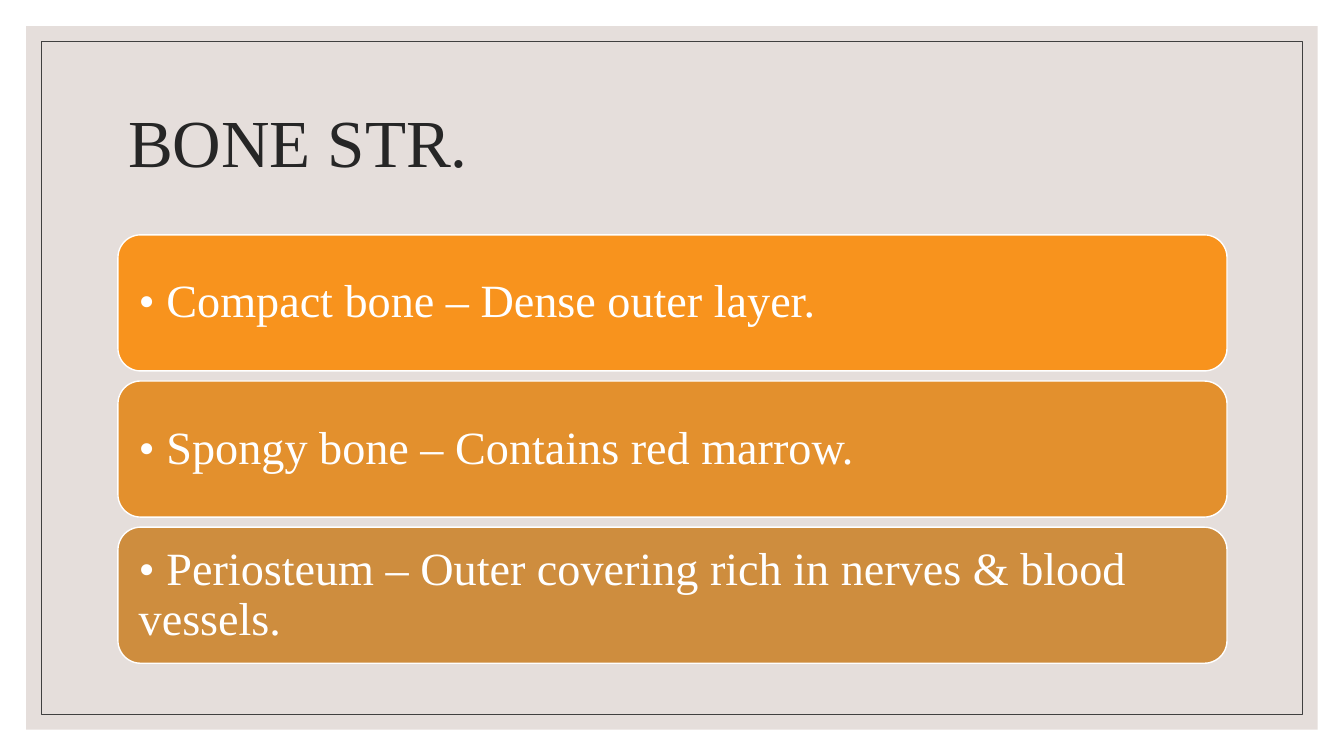
from dataclasses import dataclass
from pptx import Presentation
from pptx.dml.color import RGBColor as RGB
from pptx.enum.shapes import MSO_SHAPE as SHAPE
from pptx.enum.text import MSO_ANCHOR as ANCHOR, PP_ALIGN as ALIGN
from pptx.util import Inches, Pt


@dataclass(frozen=True)
class Theme:
    font: str = "Times New Roman"
    panel: str = "E5DEDB"
    frame: str = "404040"
    title: str = "262626"
    light: str = "FFFFFF"
    bars: tuple = ("F8931D", "E3902D", "CE8D3E")
    title_size: float = 48
    bar_size: float = 33


T = Theme()
W, H = 13.33, 7.5
LEFT, WIDTH = 1.17, 11
FACTS = (
    "• Compact bone – Dense outer layer.",
    "• Spongy bone – Contains red marrow.",
    "• Periosteum – Outer covering rich in nerves & blood vessels.",
)


def set_all(obj, values):
    for name, value in values.items():
        setattr(obj, name, value)


def add_box(s, kind, box, fill=None, line=None, weight=1):
    sp = s.shapes.add_shape(kind, *map(Inches, box))
    sp.shadow.inherit = False
    if fill:
        sp.fill.solid()
        sp.fill.fore_color.rgb = RGB.from_string(fill)
    else:
        sp.fill.background()
    if line:
        sp.line.color.rgb = RGB.from_string(line)
        sp.line.width = Pt(weight)
    else:
        sp.line.fill.background()
    return sp


def write(sp, text, size, color, inset, after=0):
    tf = sp.text_frame
    tf.text = text
    set_all(tf, {"word_wrap": True, "vertical_anchor": ANCHOR.MIDDLE})
    set_all(tf, {f"margin_{side}": Inches(inset)
                 for side in ("left", "right", "top", "bottom")})
    p = tf.paragraphs[0]
    set_all(p, {"alignment": ALIGN.LEFT, "line_spacing": 0.9,
                "space_before": Pt(0), "space_after": Pt(after)})
    r = p.runs[0]
    set_all(r.font, {"name": T.font, "size": Pt(size)})
    r.font.color.rgb = RGB.from_string(color)


def add_backdrop(s):
    for margin, look in ((0.26, {"fill": T.panel}),
                         (0.41, {"line": T.frame, "weight": 0.5})):
        box = (margin, margin, W - 2 * margin, H - 2 * margin)
        add_box(s, SHAPE.RECTANGLE, box, **look)


def add_title(s, text, box):
    title = s.shapes.title
    set_all(title, dict(zip(("left", "top", "width", "height"), map(Inches, box))))
    write(title, text, T.title_size, T.title, 0.1)
    title.element.getparent().append(title.element)


def add_bars(s, facts, box, gap=0.1):
    left, top, width, height = box
    bar_h = (height - gap * (len(facts) - 1)) / len(facts)
    for i, (fact, color) in enumerate(zip(facts, T.bars)):
        bar = (left, top + i * (bar_h + gap), width, bar_h)
        sp = add_box(s, SHAPE.ROUNDED_RECTANGLE, bar, color, T.light)
        write(sp, fact, T.bar_size, T.light, 0.14)


def main():
    prs = Presentation()
    set_all(prs, {"slide_width": Inches(W), "slide_height": Inches(H)})
    s = prs.slides.add_slide(prs.slide_layouts[5])
    add_backdrop(s)
    add_title(s, "BONE STR.", (LEFT, 0.7, WIDTH, 1.5))
    add_bars(s, FACTS, (LEFT, 2.33, WIDTH, 4.25))
    prs.save("out.pptx")


if __name__ == "__main__":
    main()
